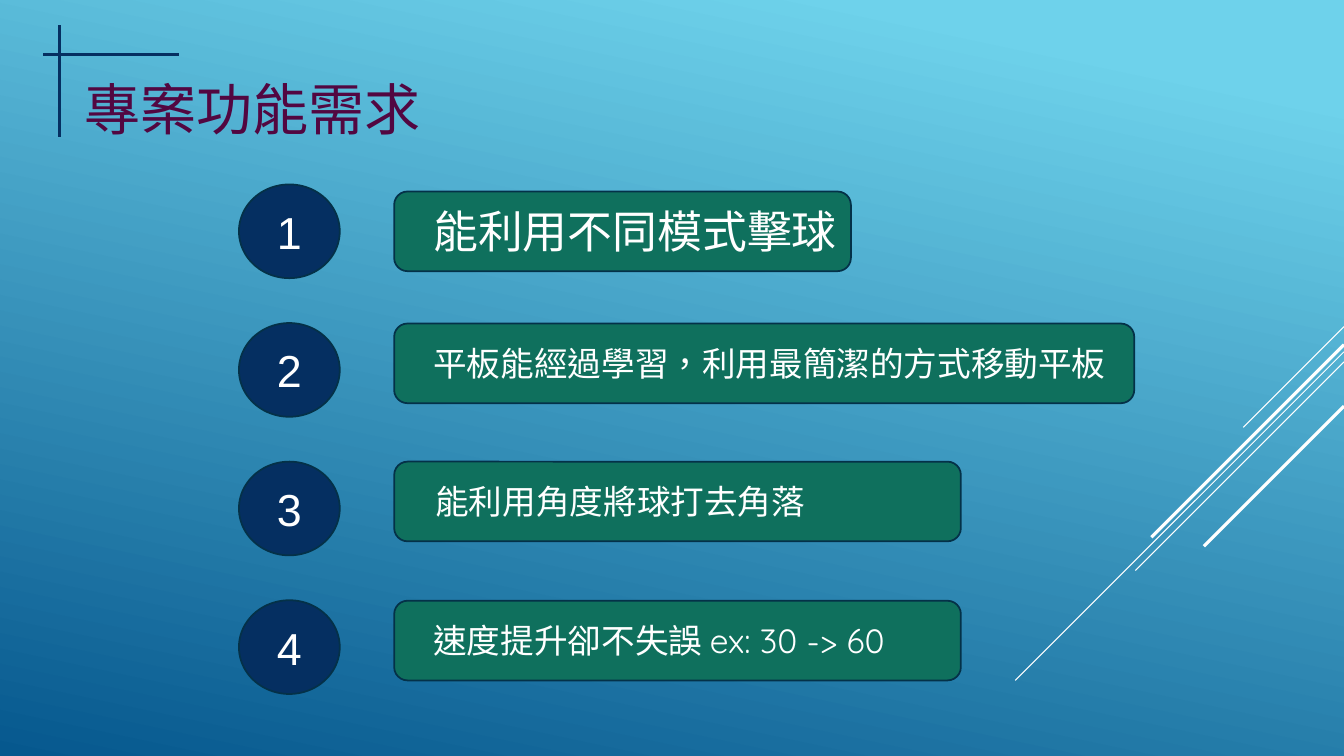
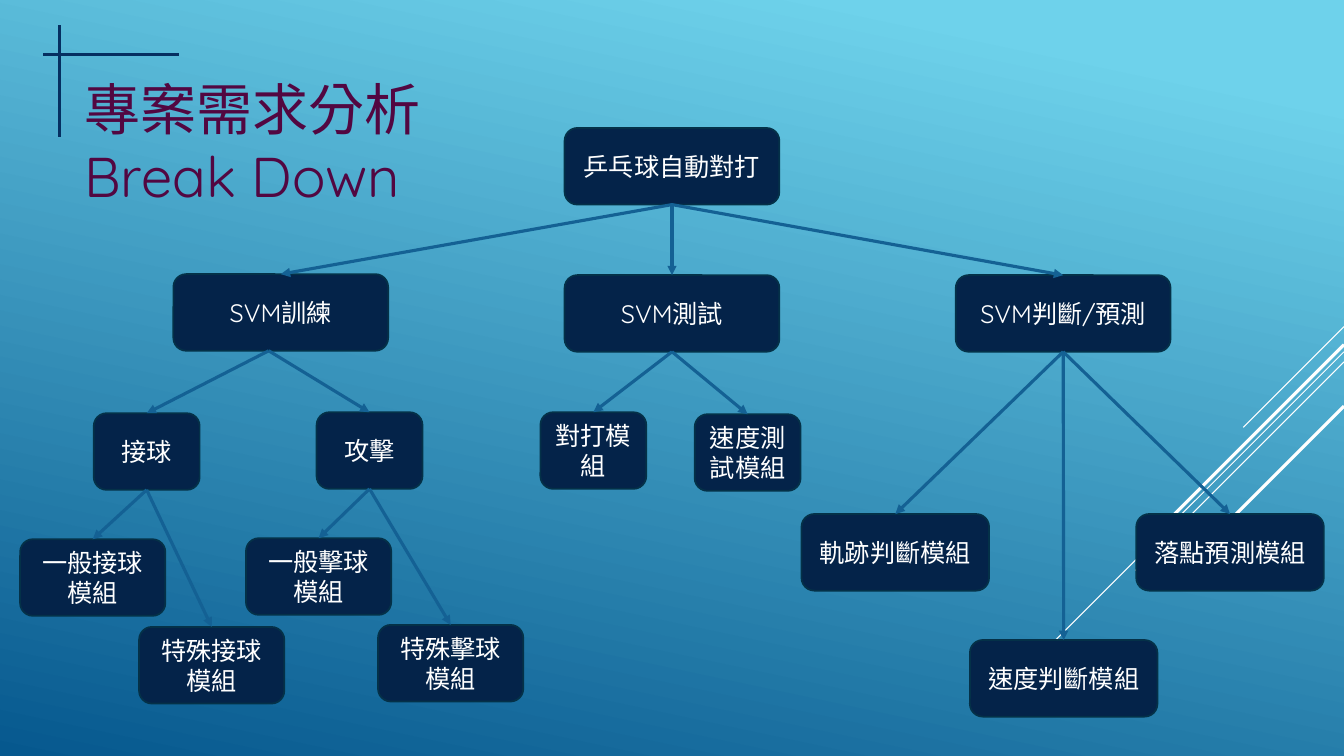
from dataclasses import dataclass

from lxml.etree import SubElement
from pptx import Presentation
from pptx.dml.color import RGBColor
from pptx.enum.shapes import MSO_CONNECTOR, MSO_SHAPE
from pptx.enum.text import MSO_ANCHOR, MSO_AUTO_SIZE, PP_ALIGN
from pptx.oxml.ns import qn
from pptx.util import Inches, Pt


@dataclass(frozen=True)
class Theme:
    font: str = "Quicksand"
    number_font: str = "Arial"
    sky: str = "6ED2EB"
    deep: str = "06588E"
    white: str = "FFFFFF"
    plum: str = "520741"
    navy: str = "052F61"
    node: str = "042349"
    green: str = "0F705D"
    border: str = "043148"
    arrow: str = "146194"
    title_size: int = 40
    large_size: int = 32
    body_size: int = 24
    node_size: int = 18
    border_width: float = 1.25
    thin: float = 0.75
    thick: float = 2.25


THEME = Theme()

# Content: requirements as text, type size, bar top, bar width, text left, text width
REQUIREMENTS_TITLE = ["專案功能需求"]
REQUIREMENTS = [
    ("能利用不同模式擊球", THEME.large_size, 1.9, 4.53, 4.2, 4.24),
    ("平板能經過學習，利用最簡潔的方式移動平板", THEME.body_size, 3.21, 7.34, 4.2, 6.93),
    ("能利用角度將球打去角落", THEME.body_size, 4.58, 5.62, 4.22, 3.9),
    ("速度提升卻不失誤 ex: 30 -> 60", THEME.body_size, 5.96, 5.62, 4.2, 5.2),
]

# Content: modules as text -> (parent, left, top, width)
BREAKDOWN_TITLE = ["專案需求分析", "Break Down"]
MAIN, SKILL, STROKE, JUDGE = 2.13, 1.05, 1.44, 1.86
MODULES = {
    "乒乓球自動對打": (None, 5.6, 1.27, MAIN),
    "SVM訓練": ("乒乓球自動對打", 1.72, 2.72, MAIN),
    "SVM測試": ("乒乓球自動對打", 5.6, 2.73, MAIN),
    "SVM判斷/預測": ("乒乓球自動對打", 9.48, 2.73, MAIN),
    "接球": ("SVM訓練", 0.93, 4.1, SKILL),
    "攻擊": ("SVM訓練", 3.14, 4.09, SKILL),
    "一般接球模組": ("接球", 0.2, 5.35, STROKE),
    "特殊接球模組": ("接球", 1.38, 6.22, STROKE),
    "一般擊球模組": ("攻擊", 2.44, 5.34, STROKE),
    "特殊擊球模組": ("攻擊", 3.75, 6.2, STROKE),
    "對打模組": ("SVM測試", 5.36, 4.09, SKILL),
    "速度測試模組": ("SVM測試", 6.89, 4.11, SKILL),
    "軌跡判斷模組": ("SVM判斷/預測", 7.95, 5.1, JUDGE),
    "落點預測模組": ("SVM判斷/預測", 11.27, 5.1, JUDGE),
    "速度判斷模組": ("SVM判斷/預測", 9.62, 6.35, JUDGE),
}
BRANCH_SHIFT = {"SVM訓練": -0.12}
MODULE_HEIGHT = 0.76

# Shared decoration: 45 degree rays from the right edge as top, run, width
SLIDE_WIDTH, SLIDE_HEIGHT = 13.33, 7.5
RAYS = [
    (3.24, 1.0, THEME.thin),
    (3.49, 3.26, THEME.thin),
    (3.59, 2.07, THEME.thin),
    (3.42, 1.91, THEME.thick),
    (4.03, 1.39, THEME.thick),
]
TITLE_CROSS = [((0.43, 0.54), (1.78, 0.54)), ((0.59, 0.25), (0.59, 1.36))]


def apply(target, values):
    for name, value in values.items():
        setattr(target, name, value)


def add_line(slide, start, end, color, width, arrow=False):
    points = [Inches(value) for value in (*start, *end)]
    connector = slide.shapes.add_connector(MSO_CONNECTOR.STRAIGHT, *points)
    connector.line.color.rgb = RGBColor.from_string(color)
    connector.line.width = Pt(width)
    if arrow:
        SubElement(connector.line._get_or_add_ln(), qn("a:tailEnd"), type="triangle")
    SubElement(connector._element.spPr, qn("a:effectLst"))


def write(frame, lines, size, color, font=THEME.font, align=PP_ALIGN.LEFT):
    text_format = {"name": font, "size": Pt(size)}
    for index, line in enumerate(lines):
        paragraph = frame.add_paragraph() if index else frame.paragraphs[0]
        paragraph.alignment = align
        run = paragraph.add_run()
        run.text = line
        apply(run.font, text_format)
        run.font.color.rgb = RGBColor.from_string(color)
        run._r.get_or_add_rPr().set("lang", "zh-TW")


def add_text(slide, box, lines, size, color):
    frame = slide.shapes.add_textbox(*map(Inches, box)).text_frame
    apply(frame, {"word_wrap": False, "auto_size": MSO_AUTO_SIZE.SHAPE_TO_FIT_TEXT})
    write(frame, lines, size, color)


def add_panel(slide, kind, box, fill, text=None, size=None, font=THEME.font):
    panel = slide.shapes.add_shape(kind, *map(Inches, box))
    panel.shadow.inherit = False
    panel.fill.solid()
    panel.fill.fore_color.rgb = RGBColor.from_string(fill)
    panel.line.color.rgb = RGBColor.from_string(THEME.border)
    panel.line.width = Pt(THEME.border_width)
    if text:
        apply(panel.text_frame, {"word_wrap": True, "vertical_anchor": MSO_ANCHOR.MIDDLE})
        write(panel.text_frame, [text], size, THEME.white, font, PP_ALIGN.CENTER)


def set_background(master):
    fill = master.background.fill
    fill.gradient()
    fill.gradient_angle = 360 - 102
    stops = ((0.1, THEME.sky), (1.0, THEME.deep))
    for stop, (position, color) in zip(fill.gradient_stops, stops):
        stop.position = position
        stop.color.rgb = RGBColor.from_string(color)


def new_slide(deck):
    slide = deck.slides.add_slide(deck.slide_layouts[6])
    for top, run, width in RAYS:
        add_line(slide, (SLIDE_WIDTH, top), (SLIDE_WIDTH - run, top + run), THEME.white, width)
    return slide


def add_title(slide, lines, height):
    for start, end in TITLE_CROSS:
        add_line(slide, start, end, THEME.navy, THEME.thick)
    add_text(slide, (0.74, 0.69, 3.57, height), lines, THEME.title_size, THEME.plum)


def build_requirements(deck):
    slide = new_slide(deck)
    bar_height, row_step = 0.79, 1.375
    for index, (text, size, top, width, text_left, text_width) in enumerate(REQUIREMENTS):
        add_panel(slide, MSO_SHAPE.OVAL, (2.37, 1.83 + index * row_step, 1, 0.93),
                  THEME.navy, str(index + 1), THEME.large_size, THEME.number_font)
        add_panel(slide, MSO_SHAPE.ROUNDED_RECTANGLE, (3.91, top, width, bar_height), THEME.green)
        text_height = 0.64 if size == THEME.large_size else 0.5
        text_top = top + (bar_height - text_height) / 2
        add_text(slide, (text_left, text_top, text_width, text_height), [text], size, THEME.white)
    add_title(slide, REQUIREMENTS_TITLE, 0.77)


def build_breakdown(deck):
    slide = new_slide(deck)
    for text, (_, left, top, width) in MODULES.items():
        add_panel(slide, MSO_SHAPE.ROUNDED_RECTANGLE, (left, top, width, MODULE_HEIGHT),
                  THEME.node, text, THEME.node_size)
    # Arrows from the foot of each parent to the head of its child
    for parent, left, top, width in MODULES.values():
        if parent:
            _, parent_left, parent_top, parent_width = MODULES[parent]
            start = (parent_left + parent_width / 2 + BRANCH_SHIFT.get(parent, 0),
                     parent_top + MODULE_HEIGHT)
            add_line(slide, start, (left + width / 2, top), THEME.arrow, THEME.thick, arrow=True)
    add_title(slide, BREAKDOWN_TITLE, 2.12)


deck = Presentation()
apply(deck, {"slide_width": Inches(SLIDE_WIDTH), "slide_height": Inches(SLIDE_HEIGHT)})
set_background(deck.slide_master)
build_requirements(deck)
build_breakdown(deck)
deck.save("out.pptx")
